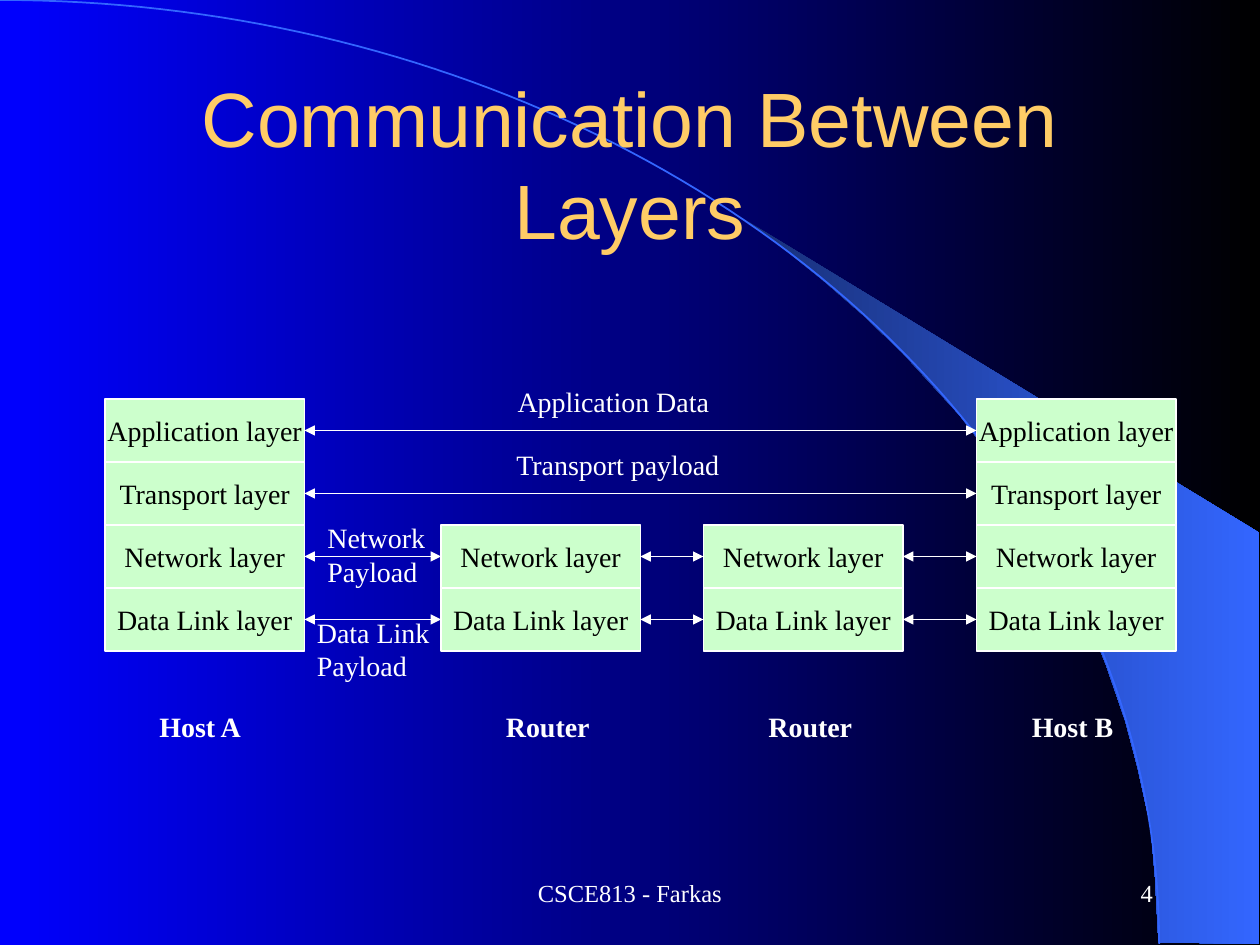
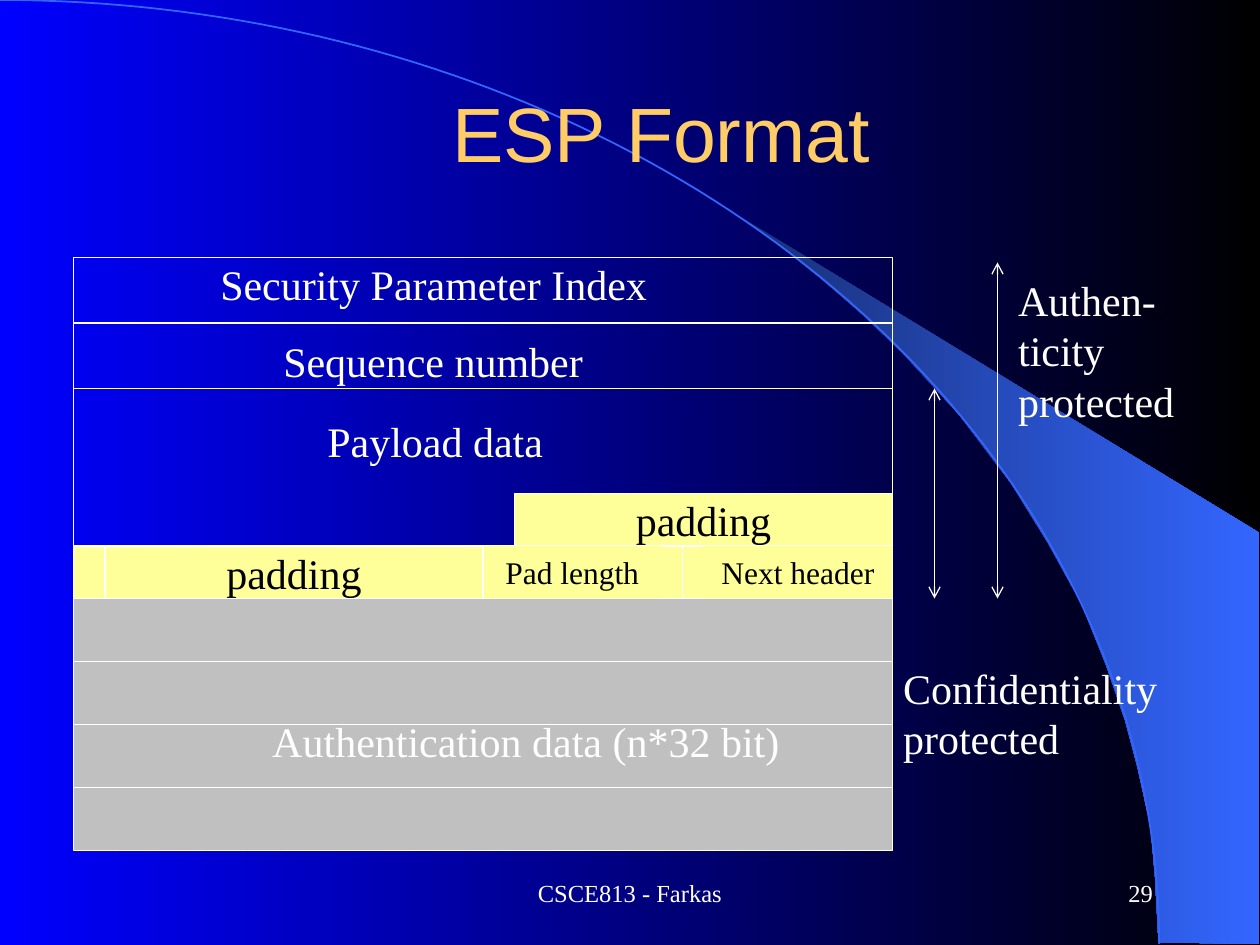
from dataclasses import dataclass
from itertools import pairwise
from math import cos, pi, sin
from typing import NamedTuple

from lxml.etree import SubElement
from pptx import Presentation
from pptx.dml.color import RGBColor
from pptx.dml.fill import FillFormat
from pptx.enum.shapes import MSO_CONNECTOR, MSO_SHAPE
from pptx.enum.text import MSO_ANCHOR, MSO_AUTO_SIZE, PP_ALIGN
from pptx.oxml.ns import qn
from pptx.presentation import Presentation as Deck
from pptx.shapes.autoshape import Shape
from pptx.shapes.connector import Connector
from pptx.slide import Slide
from pptx.text.text import TextFrame
from pptx.util import Pt


@dataclass(frozen=True)
class Theme:
    white: RGBColor = RGBColor(0xFF, 0xFF, 0xFF)
    black: RGBColor = RGBColor(0x00, 0x00, 0x00)
    blue: RGBColor = RGBColor(0x00, 0x00, 0xFF)
    dusk: RGBColor = RGBColor(0x18, 0x2F, 0x76)
    azure: RGBColor = RGBColor(0x33, 0x66, 0xFF)
    gold: RGBColor = RGBColor(0xFF, 0xCC, 0x66)
    green: RGBColor = RGBColor(0xCC, 0xFF, 0xCC)
    yellow: RGBColor = RGBColor(0xFF, 0xFF, 0x99)
    gray: RGBColor = RGBColor(0xC0, 0xC0, 0xC0)
    heading_font: str = "Arial"
    body_font: str = "Times New Roman"
    title_size: float = 44
    field_size: float = 24
    small_field_size: float = 18
    layer_size: float = 16
    footer_size: float = 14
    outline: float = 0.75


THEME = Theme()


class Box(NamedTuple):
    left: float
    top: float
    width: float
    height: float


@dataclass(frozen=True)
class TextStyle:
    size: float
    color: RGBColor = THEME.white
    font: str = THEME.body_font
    bold: bool = False
    align: PP_ALIGN = PP_ALIGN.LEFT
    anchor: MSO_ANCHOR = MSO_ANCHOR.TOP
    wrap: bool = False


@dataclass(frozen=True)
class Field:
    box: Box
    fill: RGBColor | None = None
    text: str = ""
    size: float = THEME.field_size
    outlined: bool = True


@dataclass(frozen=True)
class Label:
    box: Box
    text: str
    wrap: bool = False


@dataclass(frozen=True)
class Node:
    name: str
    left: float
    name_left: float
    layers: tuple[str, ...]


CENTER, MIDDLE = PP_ALIGN.CENTER, MSO_ANCHOR.MIDDLE
TITLE = TextStyle(THEME.title_size, THEME.gold, THEME.heading_font,
                  align=CENTER, anchor=MIDDLE, wrap=True)
FOOTER = TextStyle(THEME.footer_size, align=CENTER, anchor=MIDDLE, wrap=True)
PAGE_NUMBER = TextStyle(THEME.footer_size, align=PP_ALIGN.RIGHT, anchor=MIDDLE, wrap=True)

SWOOSH = [
    (662, 538.5), (719.5, 539.5), (719.5, 304.5), (424, 124.5), (449.5, 143.5),
    (470, 160), (493, 180), (515.5, 201.5), (548.5, 237.5), (578, 276.5),
    (599, 310.5), (618, 345), (632, 380), (643, 412), (650, 438.5),
    (657.5, 472.5), (660, 501), (662, 538.5),
]
ARC_WIDTH, ARC_HEIGHT, ARC_STEPS = 662.4, 539.3, 90

LAYERS = ("Application layer", "Transport layer", "Network layer", "Data Link layer")
NODES = [
    Node("Host A", 60, 84, LAYERS),
    Node("Router", 252, 282, LAYERS[2:]),
    Node("Router", 402, 432, LAYERS[2:]),
    Node("Host B", 558, 582.5, LAYERS),
]
LAYER_TOP, LAYER_WIDTH, LAYER_HEIGHT = 228, 114, 36
PAYLOADS = [
    Label(Box(288.7, 216, 124, 26.6), "Application Data"),
    Label(Box(288, 252, 150, 26.6), "Transport payload", wrap=True),
    Label(Box(180, 294, 70, 46), "Network\nPayload"),
    Label(Box(174, 348, 90, 46), "Data Link\nPayload", wrap=True),
]

PACKET_LEFT, PACKET_WIDTH = 42, 468
HEADER_TOP, HEADER_HEIGHT = 147, 37.5
PAYLOAD_TOP, TRAILER_TOP, AUTH_TOP = 222, 312, 342
TRAILER_HEIGHT, AUTH_HEIGHT = 30, 36


def trailer(left: float, width: float, text: str = "",
            size: float = THEME.field_size, outlined: bool = True) -> Field:
    return Field(Box(left, TRAILER_TOP, width, TRAILER_HEIGHT),
                 THEME.yellow, text, size, outlined)


def packet_row(top: float, height: float, fill: RGBColor | None = None) -> Field:
    return Field(Box(PACKET_LEFT, top, PACKET_WIDTH, height), fill)


FIELDS = [
    *(packet_row(AUTH_TOP + row * AUTH_HEIGHT, AUTH_HEIGHT, THEME.gray) for row in range(4)),
    *(packet_row(HEADER_TOP + row * HEADER_HEIGHT, HEADER_HEIGHT) for row in range(2)),
    packet_row(PAYLOAD_TOP, AUTH_TOP - PAYLOAD_TOP),
    trailer(42, 240),
    Field(Box(294, TRAILER_TOP - TRAILER_HEIGHT, 216, TRAILER_HEIGHT), THEME.yellow, "padding"),
    trailer(282, 108),
    trailer(390, 120),
    trailer(402, 108, "Next header", THEME.small_field_size, False),
    trailer(276, 102, "Pad length", THEME.small_field_size, False),
    trailer(60, 216, "padding"),
]
FIELD_LABELS = [
    Label(Box(148.5, 405.5, 304, 36), "Authentication data (n*32 bit)"),
    Label(Box(154.8, 188, 186, 36), "Sequence number"),
    Label(Box(118.8, 144, 258.5, 36), "Security Parameter Index"),
    Label(Box(180, 234, 137.5, 36), "Payload data"),
    Label(Box(509, 375, 160, 65), "Confidentiality\nprotected", wrap=True),
    Label(Box(574.7, 153.3, 103.5, 93.6), "Authen-\nticity\nprotected"),
]


def write(frame: TextFrame, text: str, style: TextStyle) -> None:
    frame.auto_size = MSO_AUTO_SIZE.NONE
    frame.word_wrap = style.wrap
    frame.vertical_anchor = style.anchor
    for index, line in enumerate(text.split("\n")):
        paragraph = frame.add_paragraph() if index else frame.paragraphs[0]
        paragraph.alignment = style.align
        run = paragraph.add_run()
        run.text = line
        run.font.name = style.font
        run.font.size = Pt(style.size)
        run.font.bold = style.bold
        run.font.color.rgb = style.color


def add_label(slide: Slide, box: Box, text: str, style: TextStyle) -> None:
    write(slide.shapes.add_textbox(*map(Pt, box)).text_frame, text, style)


def add_field(slide: Slide, field: Field) -> Shape:
    cell = slide.shapes.add_shape(MSO_SHAPE.RECTANGLE, *map(Pt, field.box))
    cell.shadow.inherit = False
    if field.fill is None:
        cell.fill.background()
    else:
        cell.fill.solid()
        cell.fill.fore_color.rgb = field.fill
    if field.outlined:
        cell.line.color.rgb = THEME.white
        cell.line.width = Pt(THEME.outline)
    else:
        cell.line.fill.background()
    if field.text:
        style = TextStyle(field.size, THEME.black, align=CENTER, anchor=MIDDLE)
        write(cell.text_frame, field.text, style)
    return cell


def add_double_arrow(slide: Slide, start: tuple[float, float], end: tuple[float, float],
                     head: str) -> Connector:
    arrow = slide.shapes.add_connector(MSO_CONNECTOR.STRAIGHT, *map(Pt, (*start, *end)))
    arrow.line.color.rgb = THEME.white
    arrow.line.width = Pt(THEME.outline)
    properties = arrow.element.spPr
    outline = properties.find(qn("a:ln"))
    for tag in ("a:headEnd", "a:tailEnd"):
        SubElement(outline, qn(tag), type=head)
    SubElement(properties, qn("a:effectLst"))
    return arrow


def join(slide: Slide, left: Shape, right: Shape) -> None:
    arrow = add_double_arrow(slide, (0, 0), (0, 0), "triangle")
    arrow.begin_connect(left, 3)
    arrow.end_connect(right, 1)


def shade(fill: FillFormat, first: RGBColor, last: RGBColor) -> None:
    fill.gradient()
    fill.gradient_angle = 0
    for stop, color, position in zip(fill.gradient_stops, (first, last), (0, 1)):
        stop.color.rgb = color
        stop.position = position


def add_outline(slide: Slide, points: list[tuple[float, float]], closed: bool) -> Shape:
    corners = [(Pt(x), Pt(y)) for x, y in points]
    builder = slide.shapes.build_freeform(*corners[0])
    builder.add_line_segments(corners[1:], close=closed)
    figure = builder.convert_to_shape()
    figure.shadow.inherit = False
    return figure


def decorate_master(deck: Deck, slide: Slide) -> None:
    master = deck.slide_master
    shade(master.background.fill, THEME.blue, THEME.black)
    swoosh = add_outline(slide, SWOOSH, True)
    shade(swoosh.fill, THEME.dusk, THEME.azure)
    swoosh.line.fill.background()
    angles = [step * pi / 2 / ARC_STEPS for step in range(ARC_STEPS + 1)]
    curve = [(ARC_WIDTH * sin(a), ARC_HEIGHT * (1 - cos(a))) for a in angles]
    arc = add_outline(slide, curve, False)
    arc.fill.background()
    arc.line.color.rgb = THEME.azure
    arc.line.width = Pt(1)
    for index, figure in enumerate((swoosh, arc)):
        figure.element.nvSpPr.cNvPr.set("id", str(100 + index))
        master.element.cSld.spTree.insert(2 + index, figure.element)


def add_slide(deck: Deck, title: str, title_box: Box, number: int) -> Slide:
    slide = deck.slides.add_slide(deck.slide_layouts[5])
    heading = slide.shapes.title
    heading.left, heading.top, heading.width, heading.height = map(Pt, title_box)
    write(heading.text_frame, title, TITLE)
    add_label(slide, Box(246, 492, 228, 36), "CSCE813 - Farkas", FOOTER)
    add_label(slide, Box(516, 492, 150, 36), str(number), PAGE_NUMBER)
    return slide


def draw_layers(slide: Slide) -> None:
    stacks: list[dict[str, Shape]] = []
    for node in NODES:
        stack = {}
        for layer in node.layers:
            top = LAYER_TOP + LAYERS.index(layer) * LAYER_HEIGHT
            box = Box(node.left, top, LAYER_WIDTH, LAYER_HEIGHT)
            stack[layer] = add_field(slide, Field(box, THEME.green, layer, THEME.layer_size))
        stacks.append(stack)
        add_label(slide, Box(node.name_left, 402, 62, 26.6), node.name,
                  TextStyle(THEME.layer_size, bold=True))
    for layer in LAYERS:
        peers = [stack[layer] for stack in stacks if layer in stack]
        for left, right in pairwise(peers):
            join(slide, left, right)
    for label in PAYLOADS:
        add_label(slide, label.box, label.text, TextStyle(THEME.layer_size, wrap=label.wrap))


def draw_packet(slide: Slide) -> None:
    for field in FIELDS:
        add_field(slide, field)
    add_double_arrow(slide, (534, PAYLOAD_TOP), (534, AUTH_TOP), "arrow")
    add_double_arrow(slide, (570, AUTH_TOP), (570, 150), "arrow")
    for label in FIELD_LABELS:
        add_label(slide, label.box, label.text, TextStyle(THEME.field_size, wrap=label.wrap))


def main() -> None:
    deck = Presentation()
    deck.slide_width, deck.slide_height = Pt(720), Pt(540)
    layers = add_slide(deck, "Communication Between Layers", Box(54, 48, 612, 90), 4)
    decorate_master(deck, layers)
    draw_layers(layers)
    draw_packet(add_slide(deck, "ESP Format", Box(72, 30, 612, 90), 29))
    deck.save("out.pptx")


if __name__ == "__main__":
    main()
